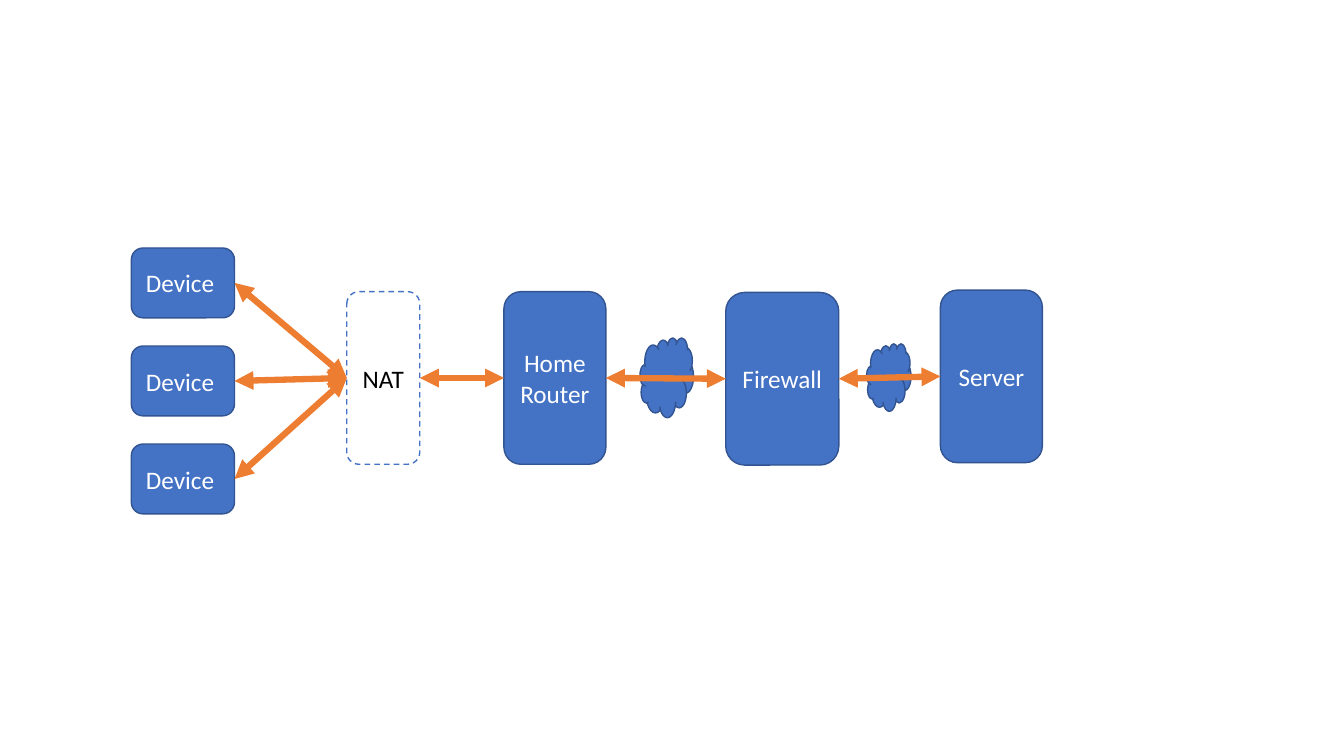
from lxml import etree
from pptx import Presentation
from pptx.dml.color import RGBColor
from pptx.enum.dml import MSO_LINE
from pptx.enum.shapes import MSO_CONNECTOR, MSO_SHAPE
from pptx.enum.text import MSO_ANCHOR, PP_ALIGN
from pptx.oxml.ns import qn
from pptx.util import Cm, Pt

BLUE = RGBColor(0x44, 0x72, 0xC4)
DARK_BLUE = RGBColor(0x32, 0x54, 0x91)
ORANGE = RGBColor(0xED, 0x7D, 0x31)
WHITE = RGBColor(0xFF, 0xFF, 0xFF)
BLACK = RGBColor(0x00, 0x00, 0x00)
LEFT, RIGHT = 1, 3


class Diagram:
    font = "Calibri"
    size = Pt(18)

    def __init__(self, slide):
        self.slide = slide

    def shape(self, kind, box, fill=BLUE, line=DARK_BLUE):
        sp = self.slide.shapes.add_shape(kind, *map(Cm, box))
        sp.shadow.inherit = False
        sp.fill.solid()
        sp.fill.fore_color.rgb = fill
        sp.line.color.rgb = line
        sp.line.width = Pt(1)
        return sp

    def cloud(self, *box):
        return self.shape(MSO_SHAPE.CLOUD, box)

    def node(self, text, *box, fill=BLUE, line=DARK_BLUE, color=WHITE):
        sp = self.shape(MSO_SHAPE.ROUNDED_RECTANGLE, box, fill, line)
        tf = sp.text_frame
        tf.word_wrap = True
        tf.vertical_anchor = MSO_ANCHOR.MIDDLE
        p = tf.paragraphs[0]
        p.text = text
        p.alignment = PP_ALIGN.CENTER
        p.font.name = self.font
        p.font.size = self.size
        p.font.color.rgb = color
        return sp

    def arrow(self, start, end):
        cxn = self.slide.shapes.add_connector(MSO_CONNECTOR.STRAIGHT, 0, 0, 0, 0)
        cxn.begin_connect(start, RIGHT)
        cxn.end_connect(end, LEFT)
        cxn.line.color.rgb = ORANGE
        cxn.line.width = Pt(4.5)
        sp_pr = cxn.line._get_or_add_ln().getparent()
        for tag in ("a:headEnd", "a:tailEnd"):
            etree.SubElement(sp_pr.find(qn("a:ln")), qn(tag), type="triangle")
        etree.SubElement(sp_pr, qn("a:effectLst"))
        return cxn


def main():
    prs = Presentation()
    prs.slide_width, prs.slide_height = Cm(33.87), Cm(19.05)
    d = Diagram(prs.slides.add_slide(prs.slide_layouts[6]))

    d.cloud(21.84, 8.66, 1.12, 1.7)
    d.cloud(16.13, 8.51, 1.35, 2.01)
    devices = [d.node("Device ", 3.31, 6.25 + 2.47 * i, 2.6, 1.76) for i in range(3)]
    nat = d.node("NAT", 8.74, 7.35, 1.84, 4.35, fill=WHITE, line=BLUE, color=BLACK)
    nat.line.dash_style = MSO_LINE.DASH
    router = d.node("Home Router", 12.7, 7.35, 2.57, 4.35)
    firewall = d.node("Firewall", 18.29, 7.37, 2.85, 4.35)
    server = d.node("Server", 23.7, 7.31, 2.57, 4.35)

    for device in devices:
        d.arrow(device, nat)
    chain = [nat, router, firewall, server]
    for start, end in zip(chain, chain[1:]):
        d.arrow(start, end)

    prs.save("out.pptx")


if __name__ == "__main__":
    main()
